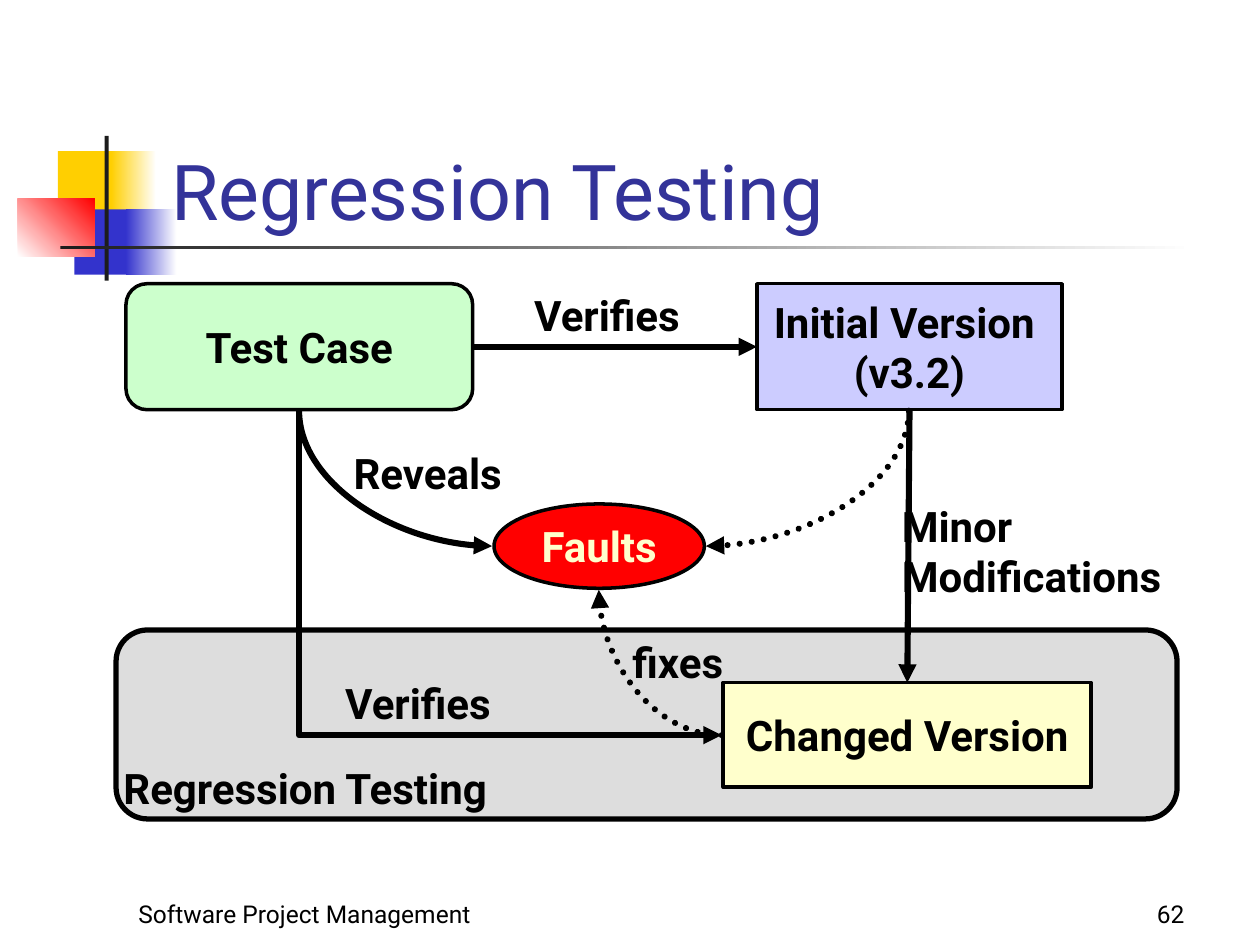
from dataclasses import dataclass

from lxml import etree
from pptx import Presentation
from pptx.dml.color import RGBColor
from pptx.enum.dml import MSO_LINE
from pptx.enum.shapes import MSO_CONNECTOR as Cxn, MSO_SHAPE as Shape
from pptx.enum.text import MSO_ANCHOR as Anchor, MSO_AUTO_SIZE as AutoSize, PP_ALIGN as Align
from pptx.oxml.ns import qn
from pptx.util import Cm, Pt


@dataclass(frozen=True)
class Theme:
    font: str = "Roboto"
    ink: str = "000000"
    title: str = "333399"
    white: str = "FFFFFF"
    yellow: str = "FFCF01"
    blue: str = "3333CC"
    red: str = "FF0000"
    bar: str = "1C1C1C"
    panel: str = "DDDDDD"
    green: str = "CCFFCC"
    lilac: str = "CCCCFF"
    cream: str = "FFFFCC"
    title_size: float = 44
    label_size: float = 24
    footer_size: float = 14
    outline: float = 2
    panel_outline: float = 3
    arrow: float = 3.5


class Deck:
    def __init__(self, slide, theme):
        self.s = slide
        self.t = theme

    def add_lines(self, tf, lines, size, color=None, bold=False, align=Align.LEFT):
        for i, line in enumerate(lines):
            p = tf.paragraphs[0] if i == 0 else tf.add_paragraph()
            p.alignment = align
            r = p.add_run()
            r.text = line
            r.font.name = self.t.font
            r.font.size = Pt(size)
            r.font.bold = bold
            r.font.color.rgb = RGBColor.from_string(color or self.t.ink)

    def title(self, text, *box):
        sp = self.s.shapes.title
        sp.left, sp.top, sp.width, sp.height = map(Cm, box)
        tf = sp.text_frame
        tf.auto_size = AutoSize.NONE
        tf.vertical_anchor = Anchor.BOTTOM
        self.add_lines(tf, [text], self.t.title_size, self.t.title)

    def shape(self, kind, box, fill, line=None):
        sp = self.s.shapes.add_shape(kind, *map(Cm, box))
        sp.shadow.inherit = False
        sp.fill.solid()
        sp.fill.fore_color.rgb = RGBColor.from_string(fill)
        if line:
            sp.line.color.rgb = RGBColor.from_string(self.t.ink)
            sp.line.width = Pt(line)
        else:
            sp.line.fill.background()
        return sp

    def fade(self, box, start, end, angle=0):
        sp = self.shape(Shape.RECTANGLE, box, start)
        sp.fill.gradient()
        sp.fill.gradient_angle = angle
        for stop, color in zip(sp.fill.gradient_stops, (start, end)):
            stop.color.rgb = RGBColor.from_string(color)

    def node(self, kind, box, fill, lines, color=None):
        sp = self.shape(kind, box, fill, self.t.outline)
        tf = sp.text_frame
        tf.word_wrap = False
        tf.vertical_anchor = Anchor.MIDDLE
        self.add_lines(tf, lines, self.t.label_size, color, True, Align.CENTER)
        return sp

    def label(self, box, *lines):
        tf = self.s.shapes.add_textbox(*map(Cm, box)).text_frame
        tf.word_wrap = False
        tf.auto_size = AutoSize.SHAPE_TO_FIT_TEXT
        self.add_lines(tf, lines, self.t.label_size, bold=True)

    def footer(self, box, text, align):
        tf = self.s.shapes.add_textbox(*map(Cm, box)).text_frame
        tf.word_wrap = True
        tf.vertical_anchor = Anchor.BOTTOM
        self.add_lines(tf, [text], self.t.footer_size, align=align)

    def style_arrow(self, c, dotted=False):
        c.line.color.rgb = RGBColor.from_string(self.t.ink)
        c.line.width = Pt(self.t.arrow)
        spPr = c._element.spPr
        ln = spPr.find(qn("a:ln"))
        if dotted:
            c.line.dash_style = MSO_LINE.ROUND_DOT
            ln.set("cap", "rnd")
        etree.SubElement(ln, qn("a:tailEnd"), type="triangle")
        etree.SubElement(spPr, qn("a:effectLst"))

    def straight(self, a, a_site, b, b_site):
        c = self.s.shapes.add_connector(Cxn.STRAIGHT, 0, 0, 0, 0)
        c.begin_connect(a, a_site)
        c.end_connect(b, b_site)
        self.style_arrow(c)

    def corner(self, preset, start, end, rot, flip=False, dotted=False):
        """One-corner connector; a quarter turn swaps its width and height."""
        (x1, y1), (x2, y2) = start, end
        w, h = abs(x2 - x1), abs(y2 - y1)
        if rot % 180:
            w, h = h, w
        left, top = (x1 + x2 - w) / 2, (y1 + y2 - h) / 2
        c = self.s.shapes.add_connector(
            Cxn.ELBOW, Cm(left), Cm(top), Cm(left + w), Cm(top + h))
        spPr = c._element.spPr
        spPr.find(qn("a:prstGeom")).set("prst", preset)
        xfrm = spPr.find(qn("a:xfrm"))
        xfrm.set("rot", str(rot * 60000))
        if flip:
            xfrm.set("flipH", "1")
        self.style_arrow(c, dotted)


def main():
    prs = Presentation()
    prs.slide_width, prs.slide_height = Cm(25.4), Cm(19.05)
    t = Theme()
    d = Deck(prs.slides.add_slide(prs.slide_layouts[5]), t)

    # Corner ornament and title rule
    d.shape(Shape.RECTANGLE, (1.17, 3.05, 1.22, 1.32), t.yellow)
    d.fade((2.24, 3.05, 0.91, 1.32), t.yellow, t.white)
    d.shape(Shape.RECTANGLE, (1.5, 4.22, 1.17, 1.32), t.blue)
    d.fade((2.54, 4.22, 1.02, 1.32), t.blue, t.white)
    d.fade((0.36, 4.01, 1.55, 1.17), t.white, t.red, 45)
    d.shape(Shape.RECTANGLE, (2.11, 2.74, 0.08, 2.92), t.bar)
    d.fade((1.22, 4.95, 22.86, 0.08), t.bar, t.white)

    # Title and footer
    d.title("Regression Testing", 3.2, 1.7, 21.64, 3.18)
    d.footer((2.54, 17.58, 10.16, 1.27), "Software Project Management", Align.LEFT)
    d.footer((18.85, 17.58, 5.28, 1.27), "62", Align.RIGHT)

    # Panel and nodes
    d.shape(Shape.ROUNDED_RECTANGLE, (2.34, 12.7, 21.39, 3.81), t.panel, t.panel_outline)
    initial = d.node(Shape.RECTANGLE, (15.26, 5.72, 6.15, 2.54), t.lilac,
                     ["Initial Version ", "(v3.2)"])
    changed = d.node(Shape.RECTANGLE, (14.58, 13.76, 7.42, 2.11), t.cream,
                     ["Changed Version"])
    case = d.node(Shape.ROUNDED_RECTANGLE, (2.54, 5.72, 6.99, 2.54), t.green,
                  ["Test Case"])
    d.node(Shape.OVAL, (9.96, 10.16, 4.24, 1.7), t.red, ["Faults"], t.cream)

    # Arrows
    case_bottom, initial_bottom = (6.03, 8.28), (18.32, 8.28)
    changed_left = (14.55, 14.82)
    curve, bend = "curvedConnector2", "bentConnector2"
    d.straight(case, 3, initial, 1)
    d.straight(initial, 2, changed, 0)
    d.corner(curve, case_bottom, (9.92, 11.01), 270, flip=True)
    d.corner(curve, initial_bottom, (14.23, 11.01), 90, dotted=True)
    d.corner(curve, changed_left, (12.07, 11.89), 180, dotted=True)
    d.corner(bend, case_bottom, changed_left, 270, flip=True)

    # Labels
    d.label((10.52, 5.72, 3.71, 1.27), "Verifies")
    d.label((6.88, 8.89, 3.73, 1.27), "Reveals")
    d.label((17.93, 9.96, 6.27, 2.29), "Minor", "Modifications")
    d.label((12.5, 12.7, 2.74, 1.27), "fixes")
    d.label((6.71, 13.54, 3.71, 1.27), "Verifies")
    d.label((2.24, 15.24, 8.51, 1.27), "Regression Testing")

    prs.save("out.pptx")


if __name__ == "__main__":
    main()
